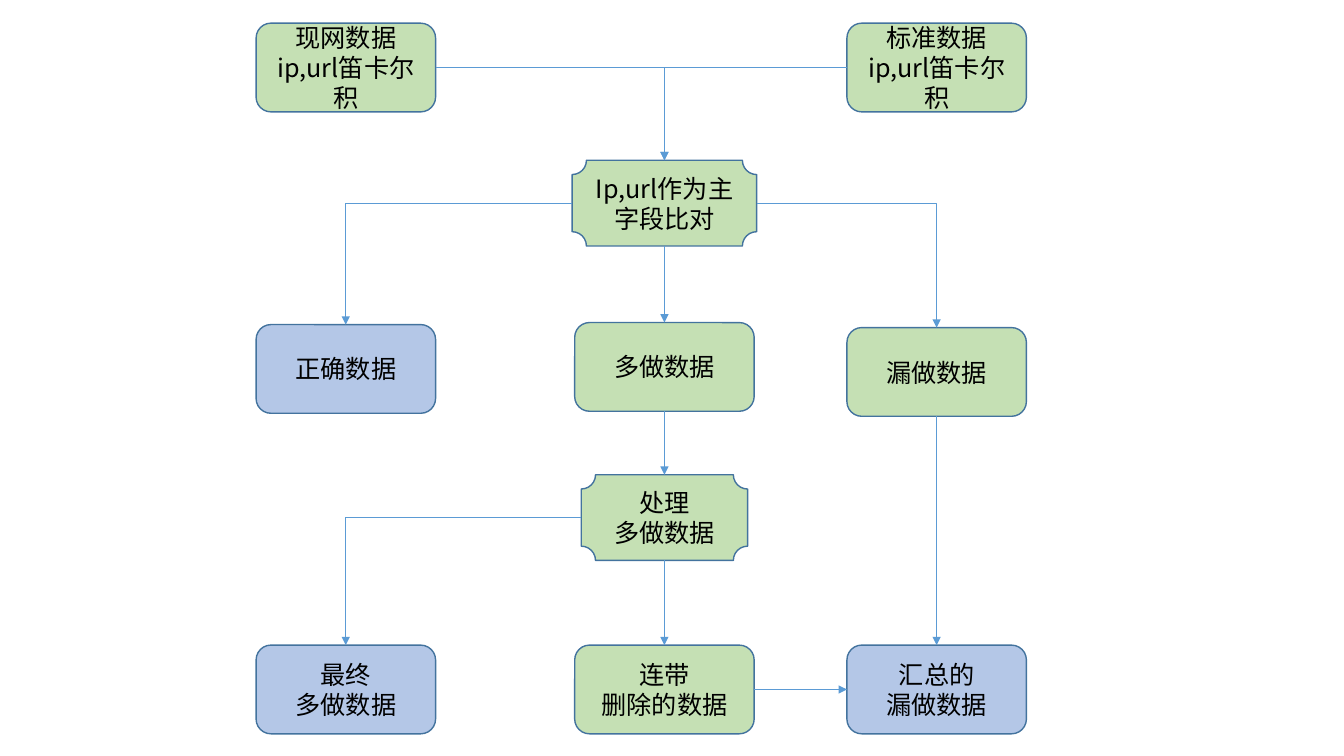
from lxml.etree import SubElement
from pptx import Presentation
from pptx.dml.color import RGBColor
from pptx.enum.shapes import MSO_CONNECTOR as CONN, MSO_SHAPE as SHAPE
from pptx.enum.text import MSO_ANCHOR, PP_ALIGN
from pptx.oxml.ns import qn
from pptx.util import Inches, Pt

TOP, LEFT, BOTTOM, RIGHT = range(4)
GREEN, BLUE = "C5E0B4", "B4C7E7"
COL_LEFT, COL_MID, COL_RIGHT = 3.43, 6.59, 9.29
TOP_ROW, BOTTOM_ROW = 0.23, 6.4


def rgb(code):
    return RGBColor.from_string(code)


class Flowchart:
    font, size = "Noto Sans CJK SC", 18
    text, outline, arrow_color = "000000", "43739E", "5B9BD5"

    def __init__(self, slide):
        self.s = slide

    def node(self, center, top, lines, fill=GREEN,
             kind=SHAPE.ROUNDED_RECTANGLE, width=1.78, height=0.88):
        sp = self.s.shapes.add_shape(kind, Inches(center - width / 2), Inches(top),
                                     Inches(width), Inches(height))
        sp.shadow.inherit = False
        sp.fill.solid()
        sp.fill.fore_color.rgb = rgb(fill)
        sp.line.color.rgb = rgb(self.outline)
        sp.line.width = Pt(1)
        tf = sp.text_frame
        tf.word_wrap = True
        tf.vertical_anchor = MSO_ANCHOR.MIDDLE
        for i, line in enumerate(lines):
            p = tf.add_paragraph() if i else tf.paragraphs[0]
            p.alignment = PP_ALIGN.CENTER
            r = p.add_run()
            r.text = line
            r.font.name = self.font
            r.font.size = Pt(self.size)
            r.font.color.rgb = rgb(self.text)
            SubElement(r.font._element, qn("a:ea")).set("typeface", self.font)
        return sp

    def step(self, top, lines, width):
        return self.node(COL_MID, top, lines, kind=SHAPE.PLAQUE,
                         width=width, height=0.85)

    def arrow(self, start, start_side, end, end_side=TOP, bent=False):
        c = self.s.shapes.add_connector(CONN.ELBOW if bent else CONN.STRAIGHT, 0, 0, 0, 0)
        c.begin_connect(start, start_side)
        c.end_connect(end, end_side)
        c.line.color.rgb = rgb(self.arrow_color)
        c.line.width = Pt(0.5)
        SubElement(c.line._get_or_add_ln(), qn("a:tailEnd")).set("type", "triangle")
        props = c._element.spPr
        SubElement(props, qn("a:effectLst"))
        if bent:  # one corner only
            props.find(qn("a:prstGeom")).set("prst", "bentConnector2")


def main():
    prs = Presentation()
    prs.slide_width, prs.slide_height = Inches(13.33), Inches(7.5)
    chart = Flowchart(prs.slides.add_slide(prs.slide_layouts[6]))

    # Inputs
    live = chart.node(COL_LEFT, TOP_ROW, ["现网数据ip,url笛卡尔积"])
    standard = chart.node(COL_RIGHT, TOP_ROW, ["标准数据ip,url笛卡尔积"])

    # Comparison and its results
    compare = chart.step(1.59, ["Ip,url作为主字段比对"], 1.83)
    correct = chart.node(COL_LEFT, 3.22, ["正确数据"], BLUE)
    extra = chart.node(COL_MID, 3.2, ["多做数据"])
    missed = chart.node(COL_RIGHT, 3.25, ["漏做数据"])

    # Processing and final data
    process = chart.step(4.71, ["处理", "多做数据"], 1.65)
    final_extra = chart.node(COL_LEFT, BOTTOM_ROW, ["最终", "多做数据"], BLUE)
    deleted = chart.node(COL_MID, BOTTOM_ROW, ["连带", "删除的数据"])
    all_missed = chart.node(COL_RIGHT, BOTTOM_ROW, ["汇总的", "漏做数据"], BLUE)

    # Straight arrows
    for start, end in ((compare, extra), (extra, process),
                       (process, deleted), (missed, all_missed)):
        chart.arrow(start, BOTTOM, end)
    chart.arrow(deleted, RIGHT, all_missed, LEFT)

    # Bent arrows
    for start, side, end in ((live, RIGHT, compare), (standard, LEFT, compare),
                             (compare, LEFT, correct), (compare, RIGHT, missed),
                             (process, LEFT, final_extra)):
        chart.arrow(start, side, end, bent=True)

    prs.save("out.pptx")


if __name__ == "__main__":
    main()
